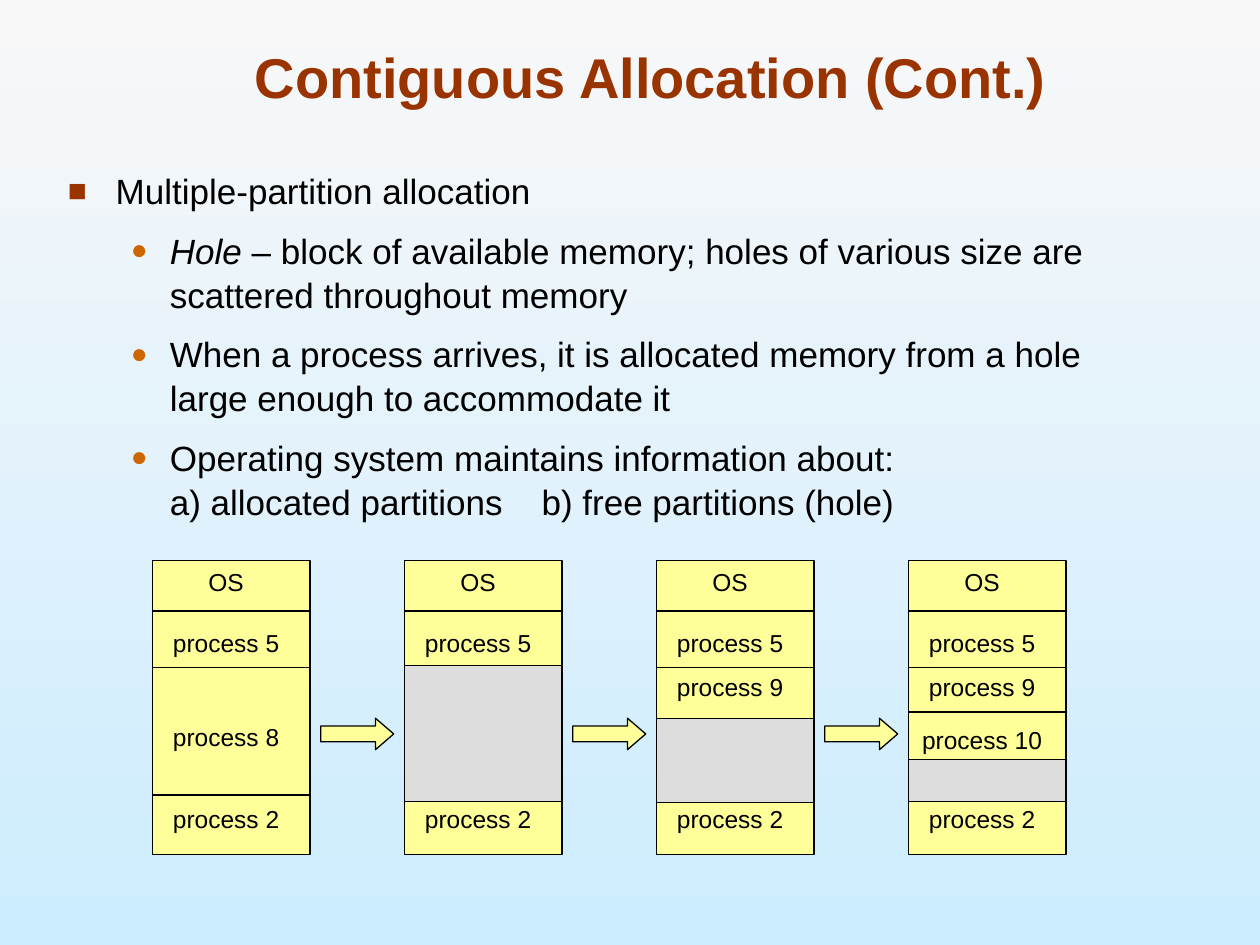
from dataclasses import dataclass

from lxml import etree
from pptx import Presentation
from pptx.dml.color import RGBColor
from pptx.enum.shapes import MSO_CONNECTOR, MSO_SHAPE
from pptx.enum.text import MSO_ANCHOR, PP_ALIGN
from pptx.oxml.ns import qn
from pptx.util import Inches, Pt

RECTANGLE, ARROW = MSO_SHAPE.RECTANGLE, MSO_SHAPE.RIGHT_ARROW
STRAIGHT = MSO_CONNECTOR.STRAIGHT
LEFT, CENTER = PP_ALIGN.LEFT, PP_ALIGN.CENTER
TOP, MIDDLE, BOTTOM = MSO_ANCHOR.TOP, MSO_ANCHOR.MIDDLE, MSO_ANCHOR.BOTTOM


@dataclass(frozen=True)
class Theme:
    font: str = "Arial"
    title_size: int = 32
    body_size: int = 20
    label_size: int = 14
    space_before: float = 8.8
    line_spacing: float = 1.05
    line_width: float = 0.75
    title: str = "993300"
    sub_bullet: str = "CC6600"
    ink: str = "000000"
    used: str = "FFFF99"
    hole: str = "DDDDDD"
    sky_top: str = "F8F8F8"
    sky_bottom: str = "CCECFF"


THEME = Theme()

# Grid of the memory maps, in inches
FIRST_COLUMN, COLUMN_STEP, COLUMN_WIDTH = 1.21, 2, 1.25
MAP_TOP, MAP_HEIGHT = 4.45, 2.33
LABEL_WIDTH, LABEL_HEIGHT = 1.17, 0.34
ARROW_TOP, ARROW_WIDTH, ARROW_HEIGHT = 5.7, 0.58, 0.25

# What every memory map shares: divider heights and label tops
DIVIDERS = (4.85, 5.3, 6.31)
LABELS = (("OS", MAP_TOP), ("process 5", 4.93), ("process 2", 6.33))

# What differs: extra dividers, extra labels, and the hole's top and height
MEMORY_MAPS = (
    ((), (("process 8", 5.68),), None),
    ((), (), (5.28, 1.08)),
    ((), (("process 9", 5.28),), (5.7, 0.67)),
    ((5.65,), (("process 9", 5.28), ("process 10", 5.7)), (6.03, 0.33)),
)

# Bullets: level, then spans of text with an italic flag
BULLETS = (
    (0, (("Multiple-partition allocation", False),)),
    (1, (("Hole", True),
         (" – block of available memory; holes of various size are "
          "scattered throughout memory", False))),
    (1, (("When a process arrives, it is allocated memory from a hole "
          "large enough to accommodate it", False),)),
    (1, (("Operating system maintains information about:\n"
          "a) allocated partitions\tb) free partitions (hole)", False),)),
)

# Per level: symbol, colour, size in percent, text indent, hanging indent
BULLET_STYLES = (
    ("■", THEME.title, 90, 0.38, 0.38),
    ("●", THEME.sub_bullet, 80, 0.81, 0.31),
)
TAB_STOP = 3.76


def color(code):
    return RGBColor.from_string(code)


def add_text_box(slide, left, top, width, height, anchor):
    box = slide.shapes.add_textbox(*map(Inches, (left, top, width, height)))
    box.text_frame.word_wrap = True
    box.text_frame.vertical_anchor = anchor
    return box.text_frame


def write(para, text, *, size, ink=THEME.ink, bold=False, italic=False,
          align=LEFT):
    """Add text to a paragraph; a newline becomes a line break."""
    para.alignment = align
    for index, line in enumerate(text.split("\n")):
        if index:
            para.add_line_break()
        span = para.add_run()
        span.text = line
        span.font.name = THEME.font
        span.font.size = Pt(size)
        span.font.bold = bold
        span.font.italic = italic
        span.font.color.rgb = color(ink)


def set_bullet(para, level):
    symbol, ink, percent, indent, hanging = BULLET_STYLES[level]
    props = para._p.get_or_add_pPr()
    props.set("lvl", str(level))
    props.set("marL", str(Inches(indent)))
    props.set("indent", str(-Inches(hanging)))
    bullet_color = etree.SubElement(props, qn("a:buClr"))
    etree.SubElement(bullet_color, qn("a:srgbClr"), val=ink)
    etree.SubElement(props, qn("a:buSzPct"), val=str(percent * 1000))
    etree.SubElement(props, qn("a:buFont"), typeface=THEME.font)
    etree.SubElement(props, qn("a:buChar"), char=symbol)
    tabs = etree.SubElement(props, qn("a:tabLst"))
    etree.SubElement(tabs, qn("a:tab"), pos=str(Inches(TAB_STOP)), algn="l")


def add_block(slide, kind, left, top, width, height, fill):
    block = slide.shapes.add_shape(
        kind, *map(Inches, (left, top, width, height)))
    block.shadow.inherit = False
    block.fill.solid()
    block.fill.fore_color.rgb = color(fill)
    block.line.color.rgb = color(THEME.ink)
    block.line.width = Pt(THEME.line_width)
    return block


def add_divider(slide, left, top):
    line = slide.shapes.add_connector(
        STRAIGHT, *map(Inches, (left, top, left + COLUMN_WIDTH, top)))
    line.line.color.rgb = color(THEME.ink)
    line.line.width = Pt(THEME.line_width)
    etree.SubElement(line._element.spPr, qn("a:effectLst"))


def add_background(slide):
    fill = slide.background.fill
    fill.gradient()
    fill.gradient_angle = 270
    for stop, code in zip(fill.gradient_stops,
                          (THEME.sky_top, THEME.sky_bottom)):
        stop.color.rgb = color(code)


def add_bullets(slide):
    frame = add_text_box(slide, 0.44, 1.28, 8.83, 2.98, TOP)
    for index, (level, spans) in enumerate(BULLETS):
        para = frame.add_paragraph() if index else frame.paragraphs[0]
        set_bullet(para, level)
        para.line_spacing = THEME.line_spacing
        if index:
            para.space_before = Pt(THEME.space_before)
        for text, italic in spans:
            write(para, text, size=THEME.body_size, italic=italic)


def add_memory_map(slide, left, extra_dividers, extra_labels, hole):
    add_block(slide, RECTANGLE, left, MAP_TOP, COLUMN_WIDTH, MAP_HEIGHT,
              THEME.used)
    for top in DIVIDERS + extra_dividers:
        add_divider(slide, left, top)
    if hole:
        top, height = hole
        add_block(slide, RECTANGLE, left, top, COLUMN_WIDTH, height,
                  THEME.hole)
    for text, top in LABELS + extra_labels:
        frame = add_text_box(slide, left, top, LABEL_WIDTH, LABEL_HEIGHT,
                             MIDDLE)
        write(frame.paragraphs[0], text, size=THEME.label_size, align=CENTER)


def add_step_arrow(slide, column_left):
    gap = COLUMN_STEP - COLUMN_WIDTH
    left = column_left + COLUMN_WIDTH + (gap - ARROW_WIDTH) / 2
    arrow = add_block(slide, ARROW, left, ARROW_TOP, ARROW_WIDTH,
                      ARROW_HEIGHT, THEME.used)
    arrow.adjustments[1] = 0.58


def main():
    deck = Presentation()
    deck.slide_width, deck.slide_height = Inches(10), Inches(7.5)
    slide = deck.slides.add_slide(deck.slide_layouts[6])
    add_background(slide)

    # Title and bullets
    title = add_text_box(slide, 0.75, 0.25, 8.83, 0.67, BOTTOM)
    write(title.paragraphs[0], "Contiguous Allocation (Cont.)",
          size=THEME.title_size, ink=THEME.title, bold=True, align=CENTER)
    add_bullets(slide)

    # Memory maps, with an arrow between neighbours
    for column, memory_map in enumerate(MEMORY_MAPS):
        left = FIRST_COLUMN + column * COLUMN_STEP
        add_memory_map(slide, left, *memory_map)
        if column < len(MEMORY_MAPS) - 1:
            add_step_arrow(slide, left)

    deck.save("out.pptx")


if __name__ == "__main__":
    main()
